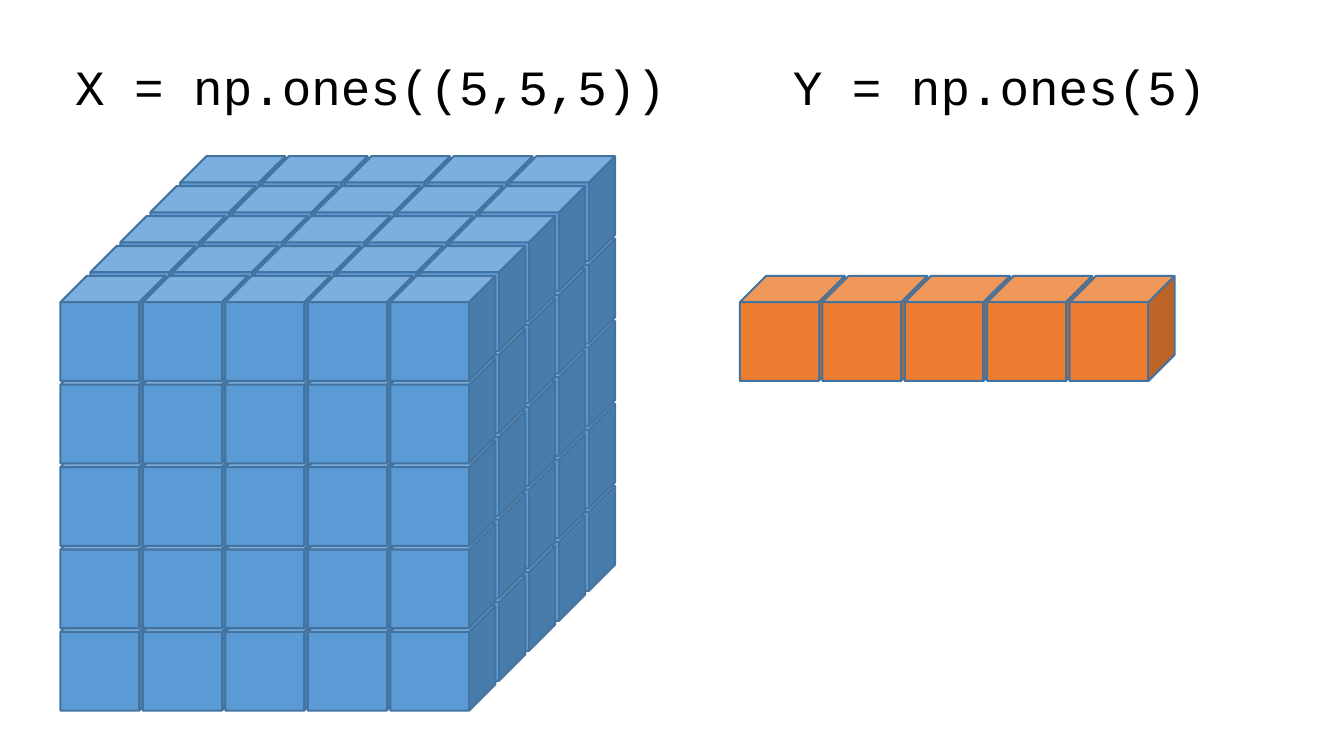
from dataclasses import dataclass
from itertools import product

from pptx import Presentation
from pptx.dml.color import RGBColor
from pptx.enum.shapes import MSO_SHAPE as Preset
from pptx.enum.text import MSO_AUTO_SIZE as AutoSize
from pptx.util import Pt


@dataclass(frozen=True)
class Theme:
    """Colours and type of the slide."""
    matrix: RGBColor = RGBColor(0x5B, 0x9B, 0xD5)
    vector: RGBColor = RGBColor(0xED, 0x7D, 0x31)
    outline: RGBColor = RGBColor(0x43, 0x73, 0x9E)
    text: RGBColor = RGBColor(0, 0, 0)
    code_font: str = "Courier New"
    code_size: int = 24


THEME = Theme()
COUNT = 5
CUBE_SIZE = 51.2
PITCH = 40.2
DEPTH_STEP = 14.6
FRONT_TOP = 134.6
MATRIX_LEFT = 29.5
VECTOR_LEFT = 360.7


def set_attributes(target, values):
    """Set each named attribute of the target."""
    for name, value in values.items():
        setattr(target, name, value)


def add_cube(slide, left, top, color):
    """Add one array element as an outlined cube."""
    cube = slide.shapes.add_shape(
        Preset.CUBE, Pt(left), Pt(top), Pt(CUBE_SIZE), Pt(CUBE_SIZE))
    cube.shadow.inherit = False
    cube.fill.solid()
    cube.fill.fore_color.rgb = color
    cube.line.color.rgb = THEME.outline
    cube.line.width = Pt(1)


def add_cube_block(slide, left, top, color, rows, layers):
    """Stack cubes from the back layer to the front and from the bottom up."""
    for layer, row, column in product(
            reversed(range(layers)), reversed(range(rows)), range(COUNT)):
        add_cube(slide,
                 left + column * PITCH + layer * DEPTH_STEP,
                 top + row * PITCH - layer * DEPTH_STEP,
                 color)


def add_code(slide, text, left, width):
    """Add a one-line code label."""
    box = slide.shapes.add_textbox(Pt(left), Pt(23.8), Pt(width), Pt(36))
    set_attributes(box.text_frame, {
        "text": text, "word_wrap": False,
        "auto_size": AutoSize.SHAPE_TO_FIT_TEXT})
    font = box.text_frame.paragraphs[0].runs[0].font
    set_attributes(font, {"name": THEME.code_font, "size": Pt(THEME.code_size)})
    font.color.rgb = THEME.text


def main():
    """Build the slide and save it."""
    presentation = Presentation()
    set_attributes(presentation, {
        "slide_width": Pt(655.2), "slide_height": Pt(367.2)})
    slide = presentation.slides.add_slide(presentation.slide_layouts[6])
    add_cube_block(slide, MATRIX_LEFT, FRONT_TOP, THEME.matrix, COUNT, COUNT)
    add_cube_block(slide, VECTOR_LEFT, FRONT_TOP, THEME.vector, 1, 1)
    add_code(slide, "X = np.ones((5,5,5))", MATRIX_LEFT, 304.6)
    add_code(slide, "Y = np.ones(5)", 379.4, 217.4)
    presentation.save("out.pptx")


main()
